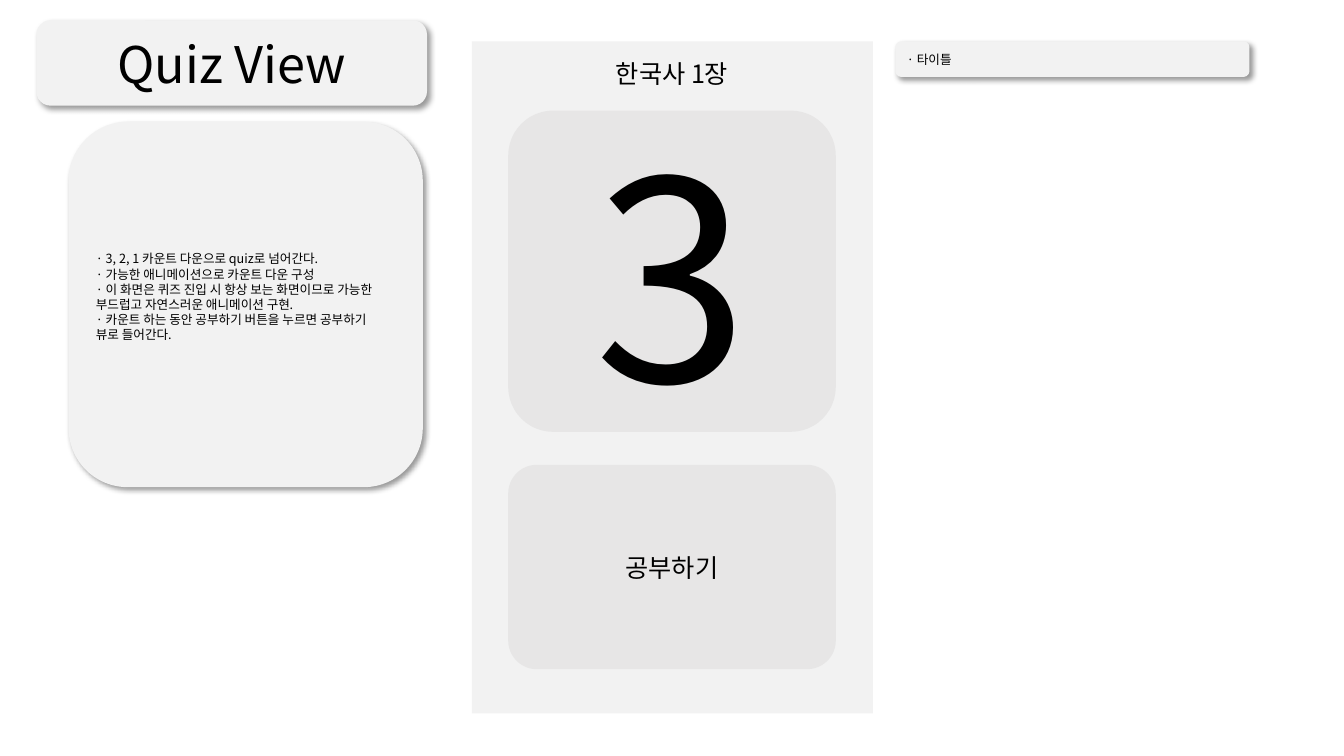
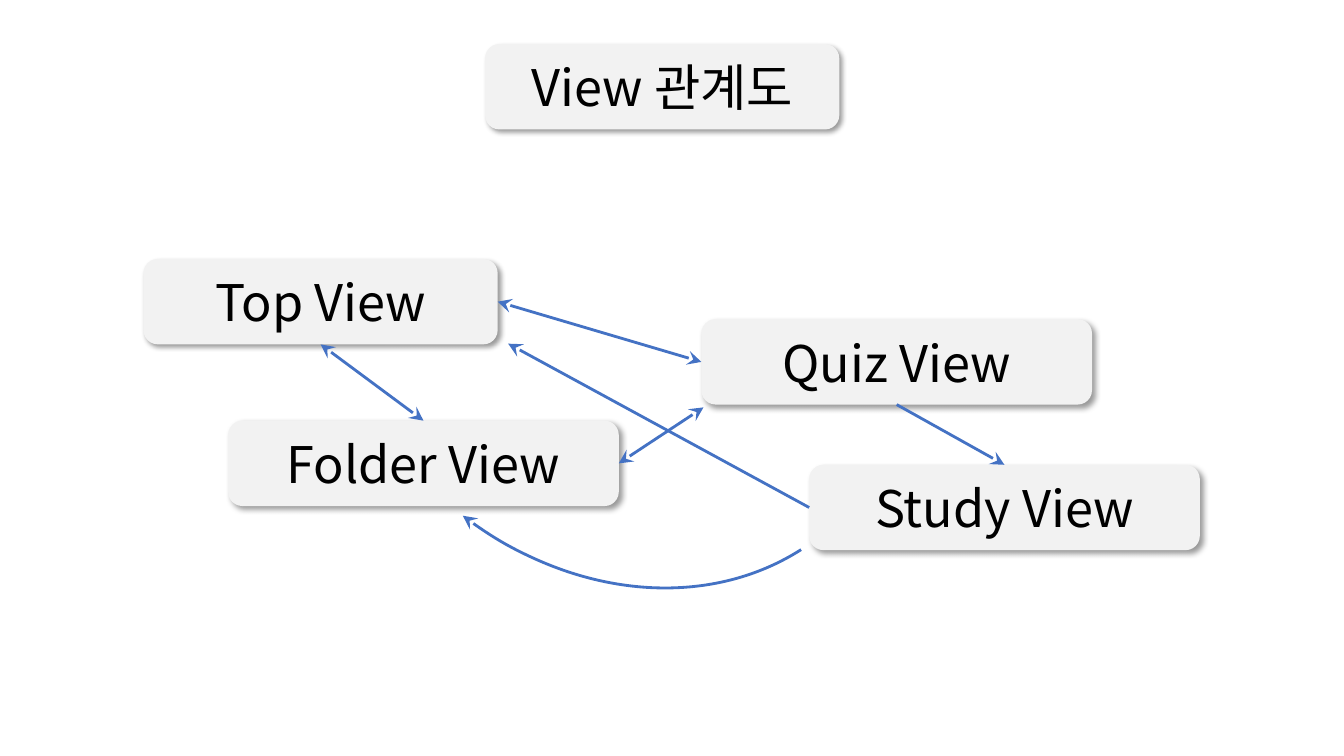
"""Builds the quiz view mock-up and the view relation diagram."""
from dataclasses import dataclass
from typing import NamedTuple

from lxml import etree
from pptx import Presentation
from pptx.dml.color import RGBColor
from pptx.enum import shapes as kinds, text as txt
from pptx.oxml.ns import qn
from pptx.util import Pt


@dataclass(frozen=True)
class Theme:
    """Colours, type sizes and effects shared by the slides."""
    font: str = "Noto Sans CJK KR"
    ink: RGBColor = RGBColor(0, 0, 0)
    panel: RGBColor = RGBColor(0xF2, 0xF2, 0xF2)
    card: RGBColor = RGBColor(0xE7, 0xE6, 0xE6)
    arrow: RGBColor = RGBColor(0x44, 0x72, 0xC4)
    title: int = 36
    label: int = 18
    note: int = 9
    count: int = 199
    line: int = 2
    card_corner: float = 0.14


THEME = Theme()
SLIDE_W, SLIDE_H = 960, 540
TITLE_H = 61
NARROW, WIDE = 253, 279
TOP, LEFT, BOTTOM, RIGHT = range(4)


class Box(NamedTuple):
    """A rectangle in points."""
    x: float
    y: float
    w: float
    h: float

    def inner(self, x, y, w, h):
        """Return a box whose position is relative to this one."""
        return Box(self.x + x, self.y + y, w, h)

    def emu(self):
        """Return the four lengths for python-pptx."""
        return [Pt(length) for length in self]


def write(shape, lines, size, align=txt.PP_ALIGN.CENTER, anchor=txt.MSO_ANCHOR.MIDDLE):
    """Fill a shape with one paragraph for each line."""
    frame = shape.text_frame
    frame.word_wrap = True
    frame.vertical_anchor = anchor
    frame.text = "\n".join(lines)
    for paragraph in frame.paragraphs:
        paragraph.alignment = align
        paragraph.font.size = Pt(size)
        paragraph.font.name = THEME.font
        paragraph.font.color.rgb = THEME.ink
    for props in shape._element.iter(qn("a:defRPr")):
        etree.SubElement(props, qn("a:ea"), typeface=THEME.font)


def block(slide, box, fill, kind=kinds.MSO_SHAPE.ROUNDED_RECTANGLE):
    """Add a flat filled shape without an outline."""
    shape = slide.shapes.add_shape(kind, *box.emu())
    shape.shadow.inherit = False
    shape.fill.solid()
    shape.fill.fore_color.rgb = fill
    shape.line.fill.background()
    return shape


def raised(slide, box, lines, size, align=txt.PP_ALIGN.CENTER):
    """Add a light rounded panel with a soft shadow and text."""
    panel = block(slide, box, THEME.panel)
    effects = panel._element.spPr.find(qn("a:effectLst"))
    shadow = etree.SubElement(effects, qn("a:outerShdw"), blurRad=str(Pt(4)),
                              dist=str(Pt(3)), dir="2700000", algn="tl", rotWithShape="0")
    colour = etree.SubElement(shadow, qn("a:srgbClr"), val=str(THEME.ink))
    etree.SubElement(colour, qn("a:alpha"), val="40000")
    write(panel, lines, size, align)
    return panel


def heading(slide, x, y, w, name):
    """Add a raised box that carries the name of a view."""
    return raised(slide, Box(x, y, w, TITLE_H), [name], THEME.title)


def phone_screen(slide, box):
    """Draw the countdown screen with its label and two cards."""
    block(slide, box, THEME.panel, kinds.MSO_SHAPE.RECTANGLE)
    chapter = slide.shapes.add_textbox(*box.inner(55, 8.5, 176, 29).emu())
    write(chapter, ["한국사 1장"], THEME.label, anchor=txt.MSO_ANCHOR.TOP)
    chapter.text_frame.auto_size = txt.MSO_AUTO_SIZE.SHAPE_TO_FIT_TEXT
    for y, height, caption, size in ((49.5, 229.5, "3", THEME.count),
                                     (302.5, 146, "공부하기", THEME.label)):
        card = block(slide, box.inner(26, y, 234, height), THEME.card)
        card.adjustments[0] = THEME.card_corner
        write(card, [caption], size)


def quiz_notes(slide, box):
    """Place the view description in a raised panel."""
    notes = raised(slide, box, [
        "· 3, 2, 1 카운트 다운으로 quiz로 넘어간다.",
        "· 가능한 애니메이션으로 카운트 다운 구성",
        "· 이 화면은 퀴즈 진입 시 항상 보는 화면이므로 가능한 부드럽고 자연스러운 애니메이션 구현.",
        "· 카운트 하는 동안 공부하기 버튼을 누르면 공부하기 뷰로 들어간다.",
    ], THEME.note, txt.PP_ALIGN.LEFT)
    notes.text_frame.margin_bottom = Pt(14.5)
    notes.text_frame.margin_right = Pt(13)


def style_arrow(arrow, both_ends=False):
    """Colour a line and give it stealth arrowheads."""
    arrow.line.color.rgb = THEME.arrow
    arrow.line.width = Pt(THEME.line)
    outline = arrow._element.spPr.find(qn("a:ln"))
    for end in ("a:headEnd", "a:tailEnd") if both_ends else ("a:tailEnd",):
        etree.SubElement(outline, qn(end), type="stealth", w="lg", len="lg")


def link(slide, source, side, target=None, target_side=None, to=(0, 0), both_ends=True):
    """Draw an arrow from a box side to another box side or a point."""
    end = [Pt(length) for length in to]
    arrow = slide.shapes.add_connector(kinds.MSO_CONNECTOR.STRAIGHT, 0, 0, *end)
    arrow.begin_connect(source, side)
    if target is not None:
        arrow.end_connect(target, target_side)
    style_arrow(arrow, both_ends)
    etree.SubElement(arrow._element.spPr, qn("a:effectLst"))


def return_arc(slide, box):
    """Draw the curved arrow that leads back to the folder view."""
    arc = slide.shapes.add_shape(kinds.MSO_SHAPE.ARC, *box.emu())
    arc.shadow.inherit = False
    arc.fill.background()
    arc.rotation = 140.1
    arc.adjustments[0] = 165.04
    arc.adjustments[1] = 205.1
    style_arrow(arc)


def quiz_slide(slide):
    """Build the quiz view slide."""
    phone_screen(slide, Box(337, 29.5, 286.5, 480))
    quiz_notes(slide, Box(49, 87, NARROW, 261))
    raised(slide, Box(639.5, 29.5, NARROW, 25.5), ["· 타이틀"], THEME.note, txt.PP_ALIGN.LEFT)
    heading(slide, 26, 14.5, WIDE, "Quiz View")


def relation_slide(slide):
    """Build the diagram of how the views lead to each other."""
    heading(slide, 346.5, 31.5, NARROW, "View 관계도")
    quiz = heading(slide, 501, 228, WIDE, "Quiz View")
    top = heading(slide, 102.5, 185, NARROW, "Top View")
    folder = heading(slide, 163, 300.5, WIDE, "Folder View")
    study = heading(slide, 578, 332, WIDE, "Study View")
    link(slide, top, RIGHT, quiz, LEFT)
    link(slide, quiz, BOTTOM, study, TOP, both_ends=False)
    link(slide, folder, RIGHT, to=(502.5, 291))
    link(slide, study, LEFT, to=(363, 245.5), both_ends=False)
    link(slide, top, BOTTOM, folder, TOP)
    return_arc(slide, Box(239, -39.5, 395.5, 475))


def main():
    """Create and save the presentation."""
    deck = Presentation()
    deck.slide_width, deck.slide_height = Pt(SLIDE_W), Pt(SLIDE_H)
    blank = deck.slide_layouts[6]
    for build in (quiz_slide, relation_slide):
        build(deck.slides.add_slide(blank))
    deck.save("out.pptx")


if __name__ == "__main__":
    main()
